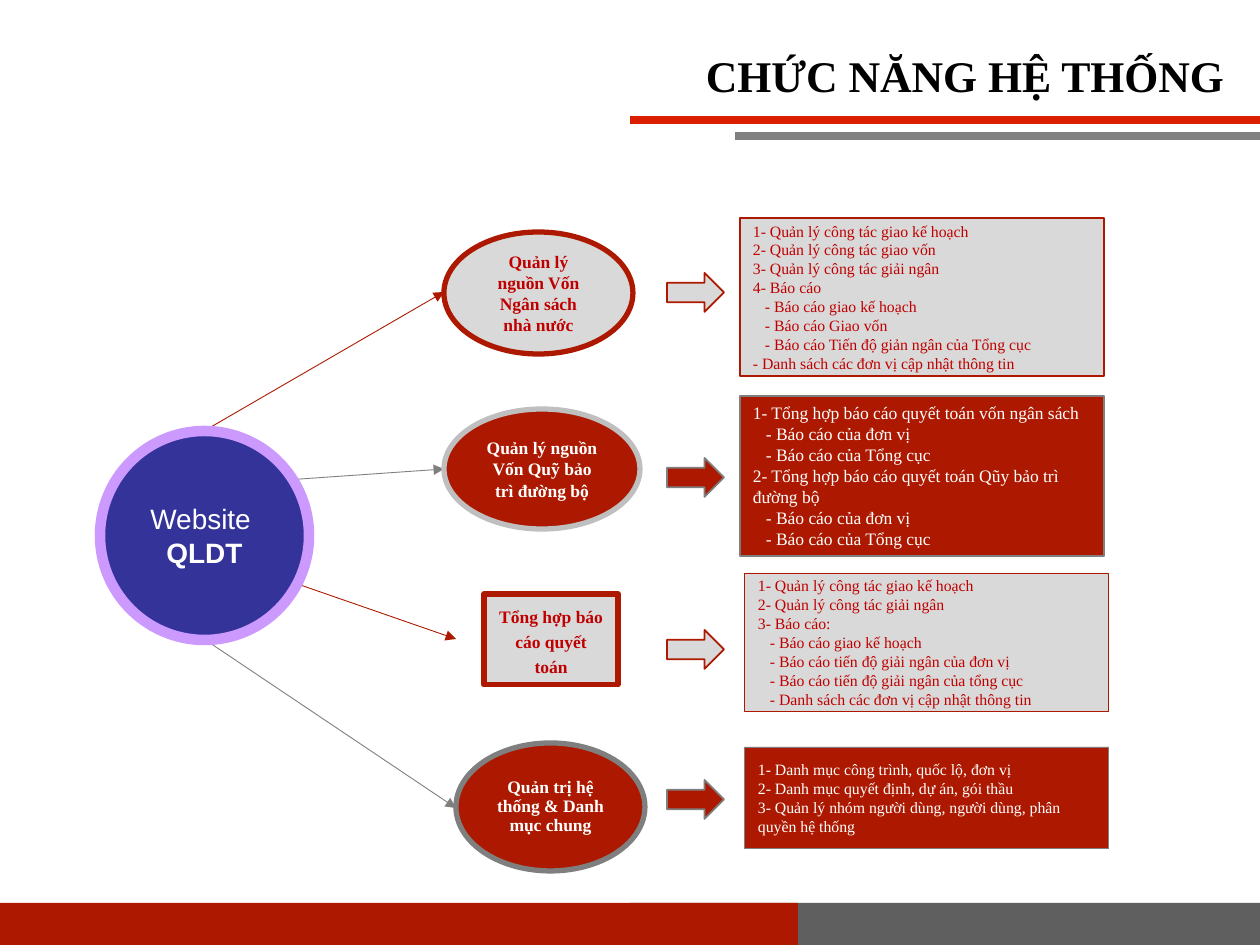
from lxml import etree
from pptx import Presentation
from pptx import util as u
from pptx.dml.color import RGBColor
from pptx.enum import shapes, text
from pptx.oxml import ns

SCALE = 914400 / 126
SERIF = "Times New Roman"
COLORS = {
    "black": "000000", "white": "FFFFFF", "red": "AC1900", "bright_red": "DA1F00",
    "text_red": "C00000", "light": "D9D9D9", "silver": "BFBFBF", "gray": "7F7F7F",
    "rule_gray": "808080", "dark_gray": "5F5F5F", "blue": "333399", "violet": "CC99FF",
}
KINDS = shapes.MSO_SHAPE
LIGHT = ("light", "red", "text_red")
DARK = ("red", "gray", "white")
FUNCTIONS = [
    dict(theme=LIGHT, kind=KINDS.OVAL, node=(444, 232, 189, 122), arrow_top=273,
         label="Quản lý nguồn Vốn Ngân sách nhà nước",
         panel=(740, 218, 364, 158), panel_line=1, size=9,
         details=["1- Quản lý công tác giao kế hoạch",
                  "2- Quản lý công tác giao vốn",
                  "3- Quản lý công tác giải ngân",
                  "4- Báo cáo",
                  ("- Báo cáo giao kế hoạch", 12),
                  ("- Báo cáo Giao vốn", 12),
                  ("- Báo cáo Tiến độ giản ngân của Tổng cục", 12),
                  "- Danh sách các đơn vị cập nhật thông tin"],
         link=(204, 431, 444, 292)),
    dict(theme=DARK, kind=KINDS.OVAL, node=(444, 409, 196, 120), arrow_top=458,
         node_line="silver", label="Quản lý nguồn Vốn Quỹ bảo trì đường bộ",
         panel=(740, 396, 364, 160), panel_line=1, size=10,
         details=["1- Tổng hợp báo cáo quyết toán vốn ngân sách",
                  ("- Báo cáo của đơn vị", 13),
                  ("- Báo cáo của Tổng cục", 13),
                  "2- Tổng hợp báo cáo quyết toán Qũy bảo trì đường bộ",
                  ("- Báo cáo của đơn vị", 13),
                  ("- Báo cáo của Tổng cục", 13)],
         anchor=text.MSO_ANCHOR.TOP, link=(286, 480, 444, 469)),
    dict(theme=LIGHT, kind=KINDS.RECTANGLE, node=(484, 594, 134, 91), arrow_top=630,
         label="Tổng hợp báo cáo quyết toán", spacing=1.2,
         panel=(745, 573, 364, 139), panel_line=0.5, size=9,
         details=["1- Quản lý công tác giao kế hoạch",
                  "2- Quản lý công tác giải ngân",
                  "3- Báo cáo:",
                  ("- Báo cáo giao kế hoạch", 12),
                  ("- Báo cáo tiến độ giải ngân của đơn vị", 12),
                  ("- Báo cáo tiến độ giải ngân của tổng cục", 12),
                  ("- Danh sách các đơn vị cập nhật thông tin", 12)],
         link=(286, 580, 456, 639)),
    dict(theme=DARK, kind=KINDS.OVAL, node=(456, 743, 189, 128), arrow_top=780,
         label="Quản trị hệ thống & Danh mục chung", spacing=0.9, insets=(10, 5),
         panel=(745, 747, 364, 102), panel_line=0.5, size=9,
         details=["1- Danh mục công trình, quốc lộ, đơn vị",
                  "2- Danh mục quyết định, dự án, gói thầu",
                  "3- Quản lý nhóm người dùng, người dùng, phân quyền hệ thống"],
         link=(204, 639, 456, 808)),
]


def px(value):
    return u.Emu(round(value * SCALE))


def rgb(name):
    return RGBColor.from_string(COLORS[name])


def write_text(shape, lines, *, size, color, font=SERIF, bold=(False,), spacing=None,
               align=text.PP_ALIGN.LEFT, anchor=text.MSO_ANCHOR.MIDDLE,
               insets=(13, 6), wrap=True):
    frame = shape.text_frame
    frame.word_wrap = wrap
    frame.vertical_anchor = anchor
    frame.margin_left = frame.margin_right = px(insets[0])
    frame.margin_top = frame.margin_bottom = px(insets[1])
    for index, line in enumerate(lines):
        content, indent = line if isinstance(line, tuple) else (line, 0)
        paragraph = frame.add_paragraph() if index else frame.paragraphs[0]
        paragraph.alignment = align
        if spacing:
            paragraph.line_spacing = spacing
        if indent:
            paragraph._p.get_or_add_pPr().set("marL", str(px(indent)))
        run = paragraph.add_run()
        run.text = content
        run.font.size = u.Pt(size)
        run.font.name = font
        run.font.bold = bold[index % len(bold)]
        run.font.color.rgb = rgb(color)


def add_block(slide, kind, box, fill, line=None, width=1):
    shape = slide.shapes.add_shape(kind, *map(px, box))
    shape.shadow.inherit = False
    shape.fill.solid()
    shape.fill.fore_color.rgb = rgb(fill)
    if line:
        shape.line.color.rgb = rgb(line)
        shape.line.width = u.Pt(width)
    else:
        shape.line.fill.background()
    return shape


def add_line(slide, ends, color, width, arrow=False):
    connector = slide.shapes.add_connector(shapes.MSO_CONNECTOR.STRAIGHT, *map(px, ends))
    connector.line.color.rgb = rgb(color)
    connector.line.width = u.Pt(width)
    if arrow:
        etree.SubElement(connector.line._get_or_add_ln(), ns.qn("a:tailEnd"), type="triangle")
    etree.SubElement(connector._element.spPr, ns.qn("a:effectLst"))


def add_frame(slide):
    add_block(slide, KINDS.RECTANGLE, (630, 903, 630, 42), "dark_gray")
    add_block(slide, KINDS.RECTANGLE, (0, 903, 798, 42), "red")
    add_line(slide, (1260, 120, 630, 120), "bright_red", 4.5)
    add_line(slide, (1260, 136, 735, 136), "rule_gray", 4.5)
    title = slide.shapes.add_textbox(*map(px, (151, 42, 1086, 66)))
    write_text(title, ["CHỨC NĂNG HỆ THỐNG"], size=25, color="black", bold=(True,),
               align=text.PP_ALIGN.RIGHT)


def add_function(slide, item):
    fill, line, color = item["theme"]
    add_line(slide, item["link"], line, 0.5, arrow=True)
    node = add_block(slide, item["kind"], item["node"], fill, item.get("node_line", line), 3)
    write_text(node, [item["label"]], size=10, color=color, bold=(True,),
               align=text.PP_ALIGN.CENTER, spacing=item.get("spacing"),
               insets=item.get("insets", (13, 6)))
    add_block(slide, KINDS.RIGHT_ARROW, (667, item["arrow_top"], 57, 39), fill, line)
    panel = add_block(slide, KINDS.RECTANGLE, item["panel"], fill, line, item["panel_line"])
    write_text(panel, item["details"], size=item["size"], color=color,
               anchor=item.get("anchor", text.MSO_ANCHOR.MIDDLE))


def add_hub(slide):
    hub = add_block(slide, KINDS.OVAL, (100, 431, 209, 209), "blue", "violet", 6)
    write_text(hub, ["Website ", "QLDT"], size=16, color="white", font="Arial",
               bold=(False, True), align=text.PP_ALIGN.CENTER, insets=(0, 0), wrap=False)


def main():
    presentation = Presentation()
    presentation.slide_width = px(1260)
    presentation.slide_height = px(945)
    slide = presentation.slides.add_slide(presentation.slide_layouts[6])
    add_frame(slide)
    for item in FUNCTIONS:
        add_function(slide, item)
    add_hub(slide)
    presentation.save("out.pptx")


if __name__ == "__main__":
    main()
